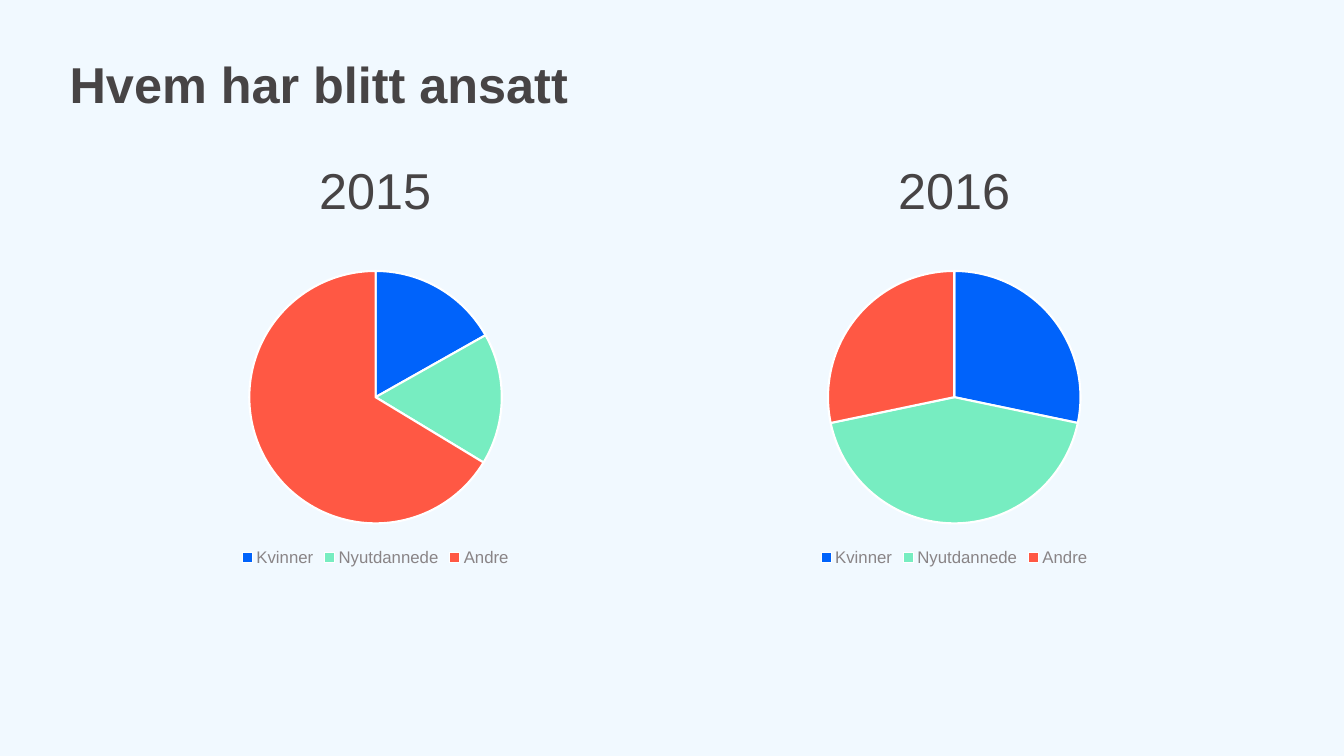
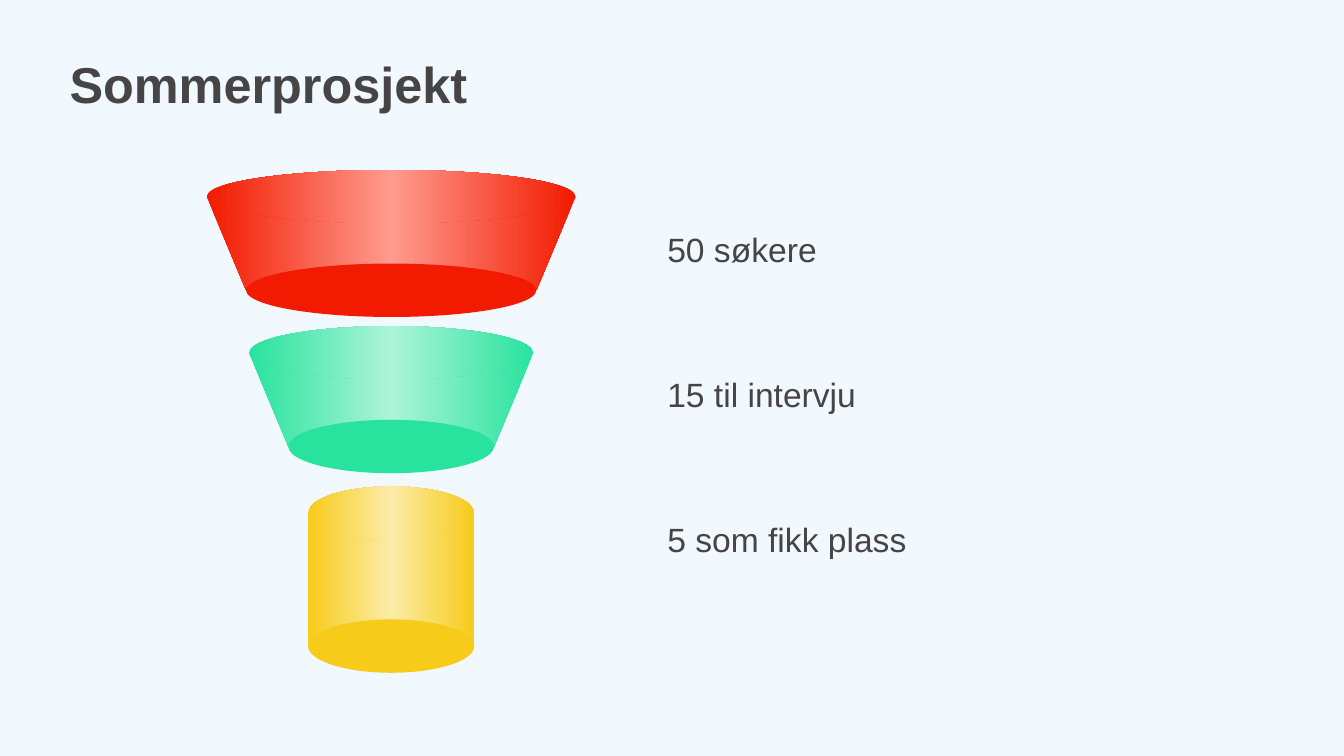
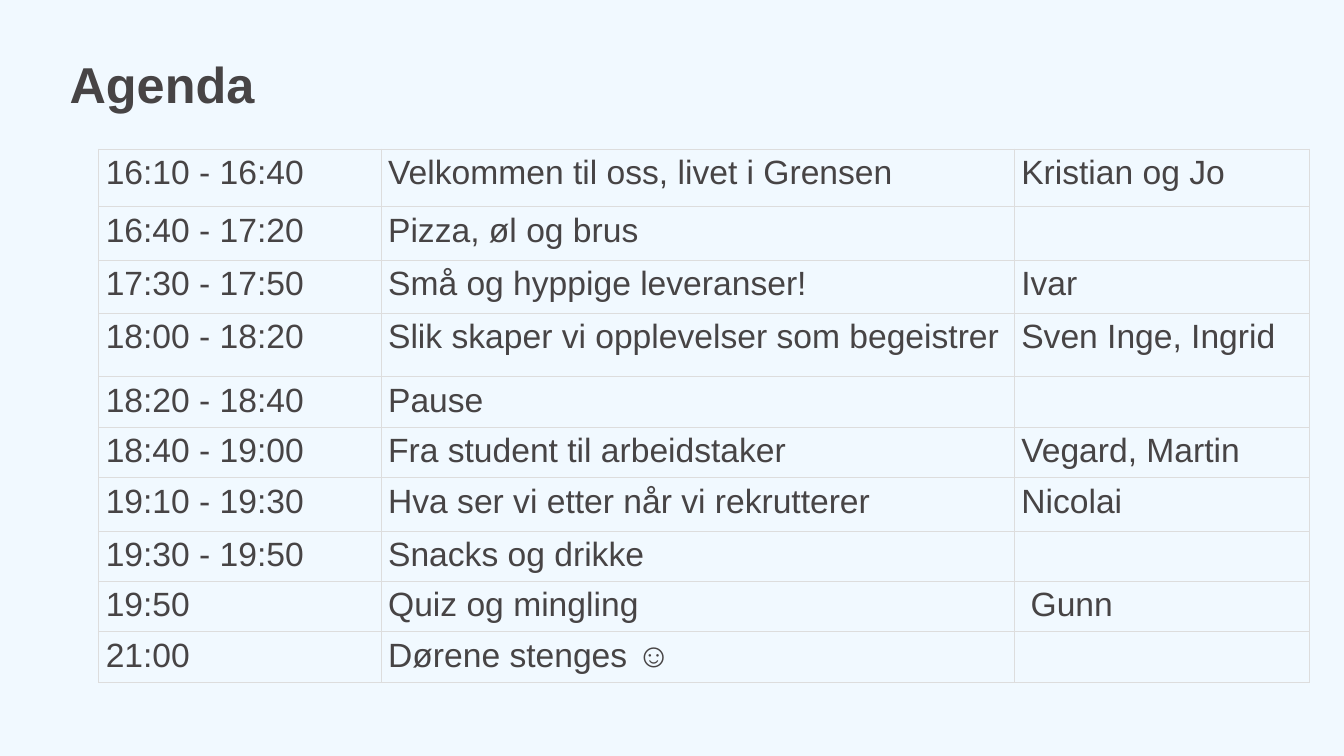
import copy
import lxml.etree
import pptx
import pptx.chart.data
import pptx.dml.color
import pptx.enum.chart
import pptx.enum.shapes
import pptx.enum.text
import pptx.oxml
import pptx.oxml.ns
import pptx.util

RGBColor = pptx.dml.color.RGBColor
Inches = pptx.util.Inches
Pt = pptx.util.Pt
Shape = pptx.enum.shapes.MSO_SHAPE
Align = pptx.enum.text.PP_ALIGN
qn = pptx.oxml.ns.qn

FONT = "Arial"
BACKGROUND = RGBColor(0xF1, 0xF9, 0xFF)
INK = RGBColor(0x47, 0x44, 0x45)
MUTED = RGBColor(0x89, 0x84, 0x86)
WHITE = RGBColor(0xFF, 0xFF, 0xFF)
GRID = RGBColor(0xDD, 0xDD, 0xDD)
BLUE = RGBColor(0x00, 0x63, 0xFB)
MINT = RGBColor(0x77, 0xED, 0xC1)
CORAL = RGBColor(0xFF, 0x58, 0x44)
RED = RGBColor(0xF2, 0x1A, 0x00)
RED_LIGHT = RGBColor(0xFF, 0x9B, 0x8F)
GREEN = RGBColor(0x28, 0xE3, 0x9D)
GREEN_LIGHT = RGBColor(0xAD, 0xF4, 0xDA)
YELLOW = RGBColor(0xF7, 0xCB, 0x19)
YELLOW_LIGHT = RGBColor(0xFC, 0xEC, 0xA9)

CATEGORIES = ["Kvinner", "Nyutdannede", "Andre"]
SLICE_COLORS = [BLUE, MINT, CORAL]
HIRES = [("2015", 0.12, [17, 17, 67]), ("2016", 5.86, [28, 43, 28])]

FUNNEL_CENTER = 3.88
RIM = 0.53
FUNNEL = [
    ("50 søkere", 1.95, 3.66, 0.93, 0.39, RED, RED_LIGHT),
    ("15 til intervju", 3.5, 2.82, 0.93, 0.39, GREEN, GREEN_LIGHT),
    ("5 som fikk plass", 5.09, 1.65, 1.32, 0, YELLOW, YELLOW_LIGHT),
]

AGENDA_COLUMNS = [2.8, 6.28, 2.93]
AGENDA = [
    (0.57, "16:10 - 16:40", "Velkommen til oss, livet i Grensen", "Kristian og Jo"),
    (0.53, "16:40 - 17:20", "Pizza, øl og brus", ""),
    (0.53, "17:30 - 17:50", "Små og hyppige leveranser!", "Ivar"),
    (0.63, "18:00 - 18:20", "Slik skaper vi opplevelser som begeistrer", "Sven Inge, Ingrid"),
    (0.5, "18:20 - 18:40", "Pause", ""),
    (0.5, "18:40 - 19:00", "Fra student til arbeidstaker", "Vegard, Martin"),
    (0.53, "19:10 - 19:30", "Hva ser vi etter når vi rekrutterer", "Nicolai"),
    (0.5, "19:30 - 19:50", "Snacks og drikke", ""),
    (0.5, "19:50", "Quiz og mingling", " Gunn"),
    (0.5, "21:00", "Dørene stenges ☺", ""),
]


def format_font(font, size, color=INK, bold=False):
    font.name = FONT
    font.size = Pt(size)
    font.bold = bold
    font.color.rgb = color


def write_text(text_frame, text, size=24, bold=False, align=Align.LEFT, spacing=None):
    paragraph = text_frame.paragraphs[0]
    paragraph.text = text
    paragraph.alignment = align
    paragraph.line_spacing = spacing
    format_font(paragraph.font, size, bold=bold)


def add_label(slide, left, top, width, height, text, wrap=True, **text_format):
    box = slide.shapes.add_textbox(Inches(left), Inches(top), Inches(width), Inches(height))
    box.text_frame.word_wrap = wrap
    write_text(box.text_frame, text, **text_format)


def add_titled_slide(presentation, text):
    slide = presentation.slides.add_slide(presentation.slide_layouts[5])
    title = slide.shapes.title
    title.left, title.top = Inches(0.69), Inches(0.59)
    title.width, title.height = Inches(10.57), Inches(1.1)
    frame = title.text_frame
    frame.margin_left = frame.margin_right = frame.margin_top = frame.margin_bottom = 0
    frame.vertical_anchor = pptx.enum.text.MSO_ANCHOR.TOP
    frame.auto_size = pptx.enum.text.MSO_AUTO_SIZE.NONE
    write_text(frame, text, size=36, bold=True, spacing=0.9)
    return slide


def add_year_pie(slide, left, top, width, height, year, values):
    label_width = 1.32
    add_label(slide, left + (width - label_width) / 2, top - 1.02, label_width, 0.71,
              year, wrap=False, size=36, align=Align.CENTER)
    data = pptx.chart.data.CategoryChartData()
    data.categories = CATEGORIES
    data.add_series("Series 1", values)
    chart = slide.shapes.add_chart(
        pptx.enum.chart.XL_CHART_TYPE.PIE, Inches(left), Inches(top),
        Inches(width), Inches(height), data).chart
    chart.has_title = False
    format_font(chart.font, 10)
    chart.has_legend = True
    chart.legend.position = pptx.enum.chart.XL_LEGEND_POSITION.BOTTOM
    chart.legend.include_in_layout = False
    format_font(chart.legend.font, 12, color=MUTED)
    plot = chart.plots[0]
    plot.vary_by_categories = True
    for index, color in enumerate(SLICE_COLORS):
        point_format = plot.series[0].points[index].format
        point_format.fill.solid()
        point_format.fill.fore_color.rgb = color
        point_format.line.color.rgb = WHITE
        point_format.line.width = Pt(1.5)


def fill_sheen(shape, edge, middle):
    shape.fill.gradient()
    shape.fill.gradient_angle = 0
    first, last = shape.fill.gradient_stops
    first.color.rgb = last.color.rgb = edge
    first.position, last.position = 0, 1
    stops = shape.element.spPr.find(".//" + qn("a:gsLst"))
    center = copy.deepcopy(stops[0])
    center.set("pos", "50000")
    center.find(qn("a:srgbClr")).set("val", str(middle))
    stops.insert(1, center)


def add_funnel_tier(slide, left, top, width, height, taper, edge, middle):
    group = slide.shapes.add_group_shape()

    def add_part(kind, part_left, part_top, part_width, part_height):
        shape = group.shapes.add_shape(kind, Inches(part_left), Inches(part_top),
                                       Inches(part_width), Inches(part_height))
        shape.shadow.inherit = False
        shape.line.fill.background()
        return shape

    body = add_part(Shape.TRAPEZOID if taper else Shape.RECTANGLE, left, top, width, height)
    if taper:
        body.adjustments[0] = taper / height
        body.rotation = 180
    lid = add_part(Shape.OVAL, left, top - RIM / 2, width, RIM)
    for shape in (body, lid):
        fill_sheen(shape, edge, middle)
    base = add_part(Shape.OVAL, left + taper, top + height - RIM / 2, width - 2 * taper, RIM)
    base.fill.solid()
    base.fill.fore_color.rgb = edge


def outline_cell(cell):
    properties = cell._tc.get_or_add_tcPr()
    for position, side in enumerate(("lnL", "lnR", "lnT", "lnB")):
        line = lxml.etree.Element(qn("a:" + side), w=str(Pt(0.75)))
        fill = lxml.etree.SubElement(line, qn("a:solidFill"))
        lxml.etree.SubElement(fill, qn("a:srgbClr"), val=str(GRID))
        properties.insert(position, line)


def add_agenda(slide, left, top):
    heights = [row[0] for row in AGENDA]
    table = slide.shapes.add_table(
        len(AGENDA), len(AGENDA_COLUMNS), Inches(left), Inches(top),
        Inches(sum(AGENDA_COLUMNS)), Inches(sum(heights))).table
    table.first_row = table.horz_banding = False
    for column, width in zip(table.columns, AGENDA_COLUMNS):
        column.width = Inches(width)
    for row, (height, *texts) in zip(table.rows, AGENDA):
        row.height = Inches(height)
        for cell, text in zip(row.cells, texts):
            cell.margin_left = cell.margin_right = Inches(0.07)
            cell.margin_top = cell.margin_bottom = Inches(0.05)
            cell.fill.background()
            outline_cell(cell)
            write_text(cell.text_frame, text)


def build_hires(presentation):
    slide = add_titled_slide(presentation, "Hvem har blitt ansatt")
    for year, left, values in HIRES:
        add_year_pie(slide, left, 2.55, 7.21, 3.11, year, values)


def build_summer_project(presentation):
    slide = add_titled_slide(presentation, "Sommerprosjekt")
    for index, (text, top, width, height, taper, edge, middle) in enumerate(FUNNEL):
        add_funnel_tier(slide, FUNNEL_CENTER - width / 2, top, width, height,
                        taper, edge, middle)
        add_label(slide, 6.52, 2.22 + 1.44 * index, 3.99, 0.5, text)


def build_agenda(presentation):
    add_agenda(add_titled_slide(presentation, "Agenda"), 0.98, 1.48)


def main():
    presentation = pptx.Presentation()
    presentation.slide_width = Inches(13.33)
    presentation.slide_height = Inches(7.5)
    background = presentation.slide_master.background.fill
    background.solid()
    background.fore_color.rgb = BACKGROUND
    build_hires(presentation)
    build_summer_project(presentation)
    build_agenda(presentation)
    presentation.save("out.pptx")


if __name__ == "__main__":
    main()
